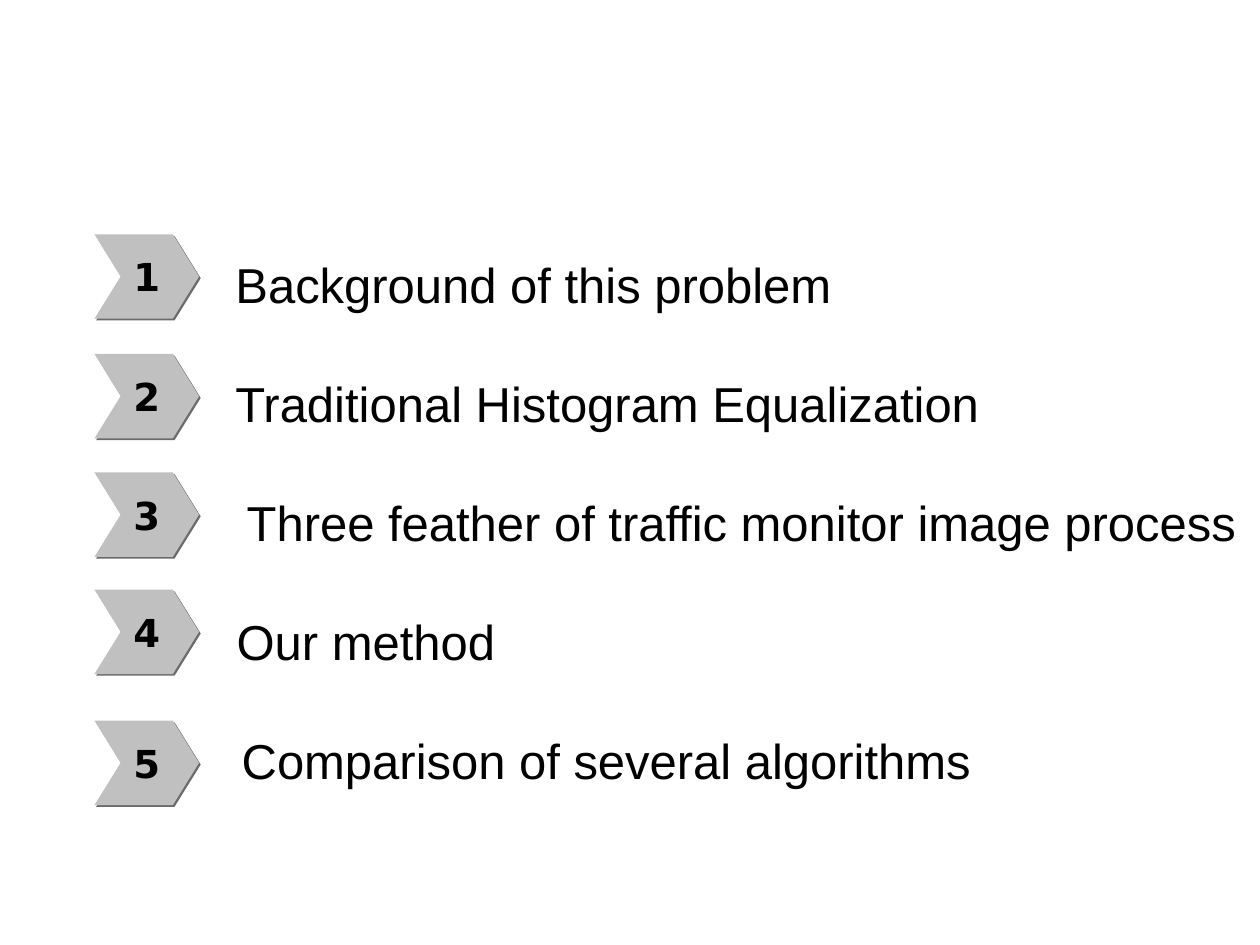
from lxml.etree import SubElement
from pptx import Presentation
from pptx.dml.color import RGBColor
from pptx.enum.shapes import MSO_SHAPE
from pptx.enum.text import MSO_ANCHOR, PP_ALIGN
from pptx.oxml.ns import qn
from pptx.util import Inches, Pt

COLORS = {"arrow": "C0C0C0", "shadow": "6B6B6B", "text": "000000"}
FIRST_LABEL_TOP = 1.94
ROW_PITCH = 0.945

AGENDA = [
    ("Background of this problem", 1.86, 1.77, 6.85),
    ("Traditional Histogram Equalization", 2.81, 1.77, 6.65),
    ("Three feather of traffic monitor image process", 3.75, 1.86, 8.13),
    ("Our method", 4.68, 1.78, 5.59),
    ("Comparison of several algorithms", 5.72, 1.82, 6.44),
]


class AgendaPage:
    """Hold the style and the slide on which agenda rows are placed."""

    def __init__(self, deck):
        self.page = deck.slides.add_slide(deck.slide_layouts[6])
        self.label_font = "Arial"
        self.number_font = "DejaVu Sans"

    def add_span(self, paragraph, text, font, size, bold=False):
        span = paragraph.add_run()
        span.text = text
        span.font.name = font
        span.font.size = Pt(size)
        span.font.bold = bold
        span.font.color.rgb = RGBColor.from_string(COLORS["text"])

    def add_shadow(self, shape):
        shape.shadow.inherit = False
        effects = shape._element.spPr.find(qn("a:effectLst"))
        shadow = SubElement(effects, qn("a:outerShdw"), blurRad="0",
                            dist=str(Pt(1.4)), dir=str(45 * 60000),
                            algn="ctr", rotWithShape="0")
        SubElement(shadow, qn("a:srgbClr"), val=COLORS["shadow"])

    def add_number(self, row, number, top):
        arrow = row.shapes.add_shape(MSO_SHAPE.CHEVRON, Inches(0.75), Inches(top),
                                     Inches(0.83), Inches(0.67))
        arrow.adjustments[0] = 0.31
        arrow.fill.solid()
        arrow.fill.fore_color.rgb = RGBColor.from_string(COLORS["arrow"])
        arrow.line.fill.background()
        self.add_shadow(arrow)
        frame = arrow.text_frame
        frame.word_wrap = False
        frame.vertical_anchor = MSO_ANCHOR.MIDDLE
        paragraph = frame.paragraphs[0]
        paragraph.alignment = PP_ALIGN.CENTER
        self.add_span(paragraph, str(number), self.number_font, 22, bold=True)

    def add_label(self, row, text, left, top, width):
        box = row.shapes.add_textbox(Inches(left), Inches(top),
                                     Inches(width), Inches(0.57))
        frame = box.text_frame
        frame.word_wrap = True
        frame.margin_top = Inches(0.08)
        self.add_span(frame.paragraphs[0], text, self.label_font, 28)

    def add_row(self, index, text, arrow_top, left, width):
        row = self.page.shapes.add_group_shape()
        self.add_number(row, index + 1, arrow_top)
        self.add_label(row, text, left, FIRST_LABEL_TOP + index * ROW_PITCH, width)


def main():
    deck = Presentation()
    deck.slide_width = Inches(10)
    deck.slide_height = Inches(7.5)
    agenda = AgendaPage(deck)
    for index, entry in enumerate(AGENDA):
        agenda.add_row(index, *entry)
    deck.save("out.pptx")


if __name__ == "__main__":
    main()
